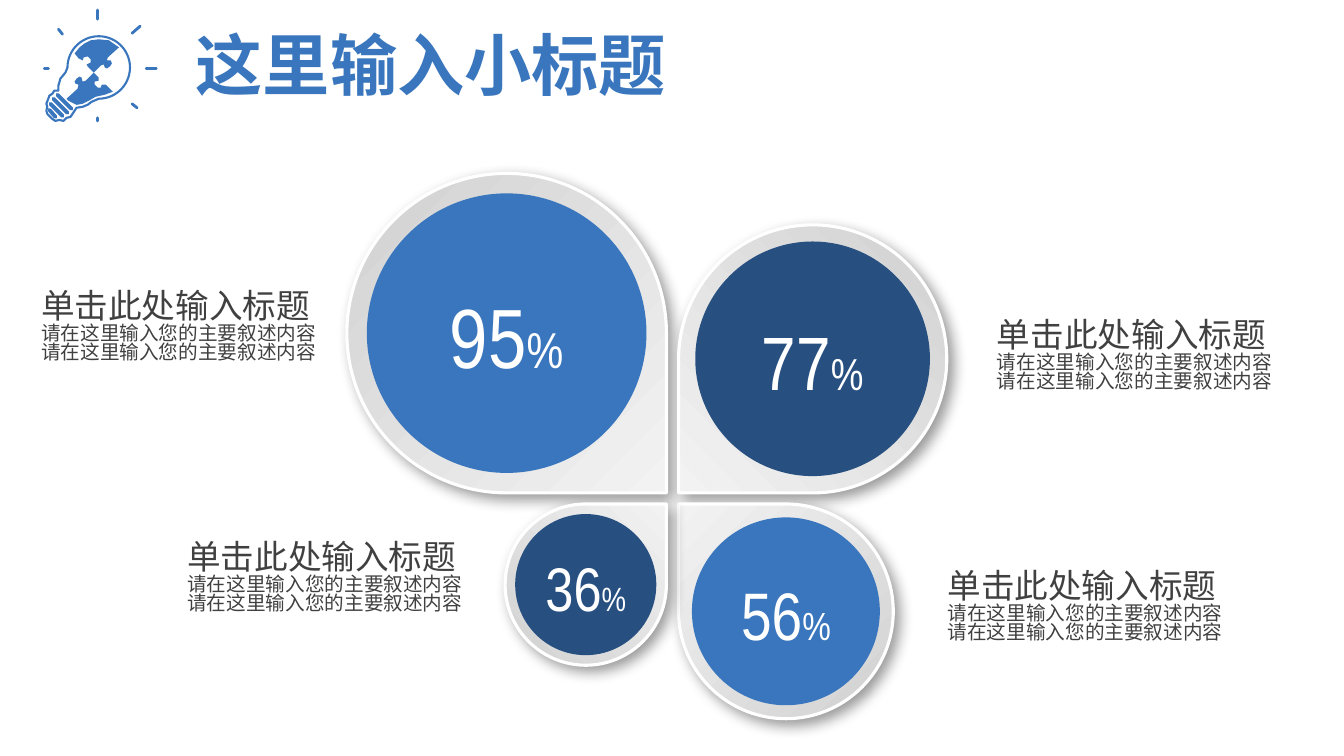
from dataclasses import dataclass
from math import cos, radians, sin

from lxml import etree
from pptx import Presentation
from pptx.dml.color import RGBColor
from pptx.enum.shapes import MSO_CONNECTOR, MSO_SHAPE
from pptx.enum.text import MSO_ANCHOR, PP_ALIGN
from pptx.oxml.ns import qn
from pptx.util import Inches, Pt

STRAIGHT = MSO_CONNECTOR.STRAIGHT
TEAR, OVAL = MSO_SHAPE.TEAR, MSO_SHAPE.OVAL
LEFT, CENTER = PP_ALIGN.LEFT, PP_ALIGN.CENTER
TOP, MIDDLE = MSO_ANCHOR.TOP, MSO_ANCHOR.MIDDLE

BLUE, NAVY, WHITE, GRAY = "3976BD", "275081", "FFFFFF", "404040"
HAN, SLIM = "Noto Sans CJK SC", "Arial Narrow"
HEAD = "单击此处输入标题"
BODY = "请在这里输入您的主要叙述内容"
WEST, EAST, NORTH, SOUTH = 6.61, 6.73, 4.89, 5.0

Point = tuple[float, float]


@dataclass
class Petal:
    value: str
    size: float
    left: bool
    upper: bool
    turn: int
    color: str
    big: int
    small: int

    @property
    def x(self) -> float:
        return WEST - self.size if self.left else EAST

    @property
    def y(self) -> float:
        return NORTH - self.size if self.upper else SOUTH


@dataclass
class Stroke:
    start: Point
    end: Point
    width: float = 2


PETALS = [
    Petal("95", 3.17, True, True, 90, BLUE, 60, 36),
    Petal("77", 2.66, False, True, 180, NAVY, 54, 32),
    Petal("56", 2.13, False, False, 270, BLUE, 48, 28),
    Petal("36", 1.6, True, False, 0, NAVY, 44, 24),
]
NOTES = [(0.31, 2.8), (1.76, 5.29), (9.79, 3.09), (9.3, 5.58)]
STROKES = [
    Stroke((0.97, 1.17), (0.97, 1.2)),
    Stroke((0.44, 0.68), (0.48, 0.68)),
    Stroke((1.31, 1.03), (1.36, 1.07)),
    Stroke((0.58, 0.29), (0.62, 0.34)),
    Stroke((0.97, 0.1), (0.97, 0.19)),
    Stroke((1.45, 0.68), (1.55, 0.68)),
    Stroke((1.31, 0.33), (1.39, 0.26)),
    Stroke((0.57, 0.94), (0.71, 1.08), 2.75),
    Stroke((0.53, 0.98), (0.67, 1.12), 2.75),
    Stroke((0.5, 1.03), (0.62, 1.15), 2.75),
    Stroke((0.49, 1.09), (0.55, 1.16), 2.75),
]
GLASS = [(0.98 + 0.31 * cos(radians(a)), 0.67 + 0.31 * sin(radians(a)))
         for a in range(180, 451, 6)]
NECK = [
    (0.91, 1.01), (0.87, 1.04), (0.82, 1.06), (0.76, 1.07), (0.74, 1.1),
    (0.72, 1.13), (0.7, 1.16), (0.66, 1.17), (0.63, 1.2), (0.59, 1.19),
    (0.55, 1.2), (0.52, 1.18), (0.47, 1.13), (0.46, 1.1), (0.47, 1.06),
    (0.46, 1.03), (0.48, 0.98), (0.49, 0.95), (0.52, 0.93), (0.54, 0.9),
    (0.58, 0.9), (0.58, 0.85), (0.6, 0.78), (0.65, 0.72),
]
LOWER = [
    (1.12, 0.91), (1.04, 0.94), (0.95, 0.96), (0.88, 1), (0.82, 1.03),
    (0.76, 1.04), (0.68, 1), (0.66, 0.98), (0.77, 0.88), (0.78, 0.84),
    (0.75, 0.83), (0.74, 0.81), (0.76, 0.78), (0.79, 0.76), (0.81, 0.77),
    (0.82, 0.81), (0.85, 0.8), (0.93, 0.72), (0.98, 0.77), (0.98, 0.8),
    (0.94, 0.81), (0.94, 0.84), (0.97, 0.87), (1, 0.87), (1.01, 0.84),
    (1.05, 0.84),
]
UPPER = [
    (1.09, 0.66), (1.06, 0.68), (1.04, 0.67), (1.03, 0.64), (1, 0.65),
    (0.93, 0.72), (0.87, 0.66), (0.86, 0.64), (0.9, 0.62), (0.9, 0.59),
    (0.87, 0.56), (0.83, 0.57), (0.82, 0.6), (0.78, 0.58), (0.74, 0.53),
    (0.79, 0.47), (0.84, 0.43), (0.9, 0.4), (0.98, 0.39), (1.08, 0.4),
    (1.18, 0.47), (1.07, 0.57), (1.06, 0.6), (1.1, 0.6), (1.11, 0.63),
]


def paint(target, color: str) -> None:
    target.rgb = RGBColor.from_string(color)


def write(para, text: str, *, size: float, font: str, color: str,
          bold: bool = False, align=LEFT, space: float = 1.0) -> None:
    para.alignment, para.line_spacing = align, space
    run = para.add_run()
    run.text = text
    run.font.size, run.font.name, run.font.bold = Pt(size), font, bold
    run.font.fill.solid()
    paint(run.font.color, color)
    east = etree.SubElement(run.font._element, qn("a:ea"))
    east.set("typeface", font)


def place(shape, x: float, y: float, w: float, h: float) -> None:
    shape.left, shape.top = Inches(x), Inches(y)
    shape.width, shape.height = Inches(w), Inches(h)


def frame(shape, wrap: bool, anchor):
    text = shape.text_frame
    text.word_wrap, text.vertical_anchor = wrap, anchor
    return text


def fill(shape, color: str) -> None:
    shape.shadow.inherit = False
    shape.fill.solid()
    paint(shape.fill.fore_color, color)
    shape.line.fill.background()


def trace(shapes, points: list[Point]):
    dots = [(Inches(x), Inches(y)) for x, y in points]
    pen = shapes.build_freeform(*dots[0])
    pen.add_line_segments(dots[1:], close=True)
    return pen.convert_to_shape()


def cast(shape) -> None:
    shape.shadow.inherit = False
    effects = shape.element.spPr.find(qn("a:effectLst"))
    outer = etree.SubElement(
        effects, qn("a:outerShdw"), blurRad=str(Pt(10)), dist=str(Pt(5)),
        dir="2700000", algn="tl", rotWithShape="0")
    black = etree.SubElement(outer, qn("a:srgbClr"), val="000000")
    etree.SubElement(black, qn("a:alpha"), val="40000")


def draw_bulb(shapes) -> None:
    rim = trace(shapes, GLASS + NECK)
    rim.shadow.inherit = False
    rim.fill.background()
    paint(rim.line.color, BLUE)
    rim.line.width = Pt(1.5)
    for piece in (LOWER, UPPER):
        fill(trace(shapes, piece), BLUE)
    for stroke in STROKES:
        ends = [Inches(n) for n in stroke.start + stroke.end]
        line = shapes.add_connector(STRAIGHT, *ends)
        paint(line.line.color, BLUE)
        line.line.width = Pt(stroke.width)
        props = line.element.spPr
        props.find(qn("a:ln")).set("cap", "rnd")
        etree.SubElement(props, qn("a:effectLst"))


def draw_petal(shapes, petal: Petal) -> None:
    box = [Inches(n) for n in (petal.x, petal.y, petal.size, petal.size)]
    leaf = shapes.add_shape(TEAR, *box)
    leaf.rotation = petal.turn
    leaf.fill.gradient()
    leaf.fill.gradient_angle = 45
    for stop, color in zip(leaf.fill.gradient_stops, ("D1D1D1", "F2F2F2")):
        paint(stop.color, color)
    paint(leaf.line.color, WHITE)
    leaf.line.width = Pt(2.25)
    cast(leaf)
    gap = petal.size / 16
    side = petal.size - 2 * gap
    disc = shapes.add_shape(OVAL, *[Inches(n) for n in (
        petal.x + gap, petal.y + gap, side, side)])
    fill(disc, petal.color)


def draw_value(shapes, petal: Petal) -> None:
    tall = petal.big / 60 + 0.1
    mid = petal.size / 2
    box = shapes.add_textbox(*[Inches(n) for n in (
        petal.x + mid - 0.76, petal.y + mid - tall / 2 + 0.02, 1.52, tall)])
    para = frame(box, True, TOP).paragraphs[0]
    for text, size in ((petal.value, petal.big), ("%", petal.small)):
        write(para, text, size=size, font=SLIM, color=WHITE, align=CENTER)


def draw_note(shapes, x: float, y: float) -> None:
    box = shapes.add_textbox(*[Inches(n) for n in (x, y, 2.97, 1.58)])
    text = frame(box, False, TOP)
    text.margin_top = Inches(0.1)
    for row, (words, size) in enumerate(((HEAD, 24), (BODY, 14), (BODY, 14))):
        para = text.add_paragraph() if row else text.paragraphs[0]
        write(para, words, size=size, font=HAN, color=GRAY, space=0.81)


def main() -> None:
    deck = Presentation()
    deck.slide_width, deck.slide_height = Inches(13.33), Inches(7.5)
    slide = deck.slides.add_slide(deck.slide_layouts[5])
    shapes = slide.shapes
    draw_bulb(shapes)
    title = shapes.title
    place(title, 1.84, 0.18, 4.94, 0.91)
    write(frame(title, False, MIDDLE).paragraphs[0], "这里输入小标题",
          size=48, font=HAN, color=BLUE, bold=True)
    for petal in PETALS:
        draw_petal(shapes, petal)
    for petal in PETALS:
        draw_value(shapes, petal)
    for x, y in NOTES:
        draw_note(shapes, x, y)
    deck.save("out.pptx")


if __name__ == "__main__":
    main()
